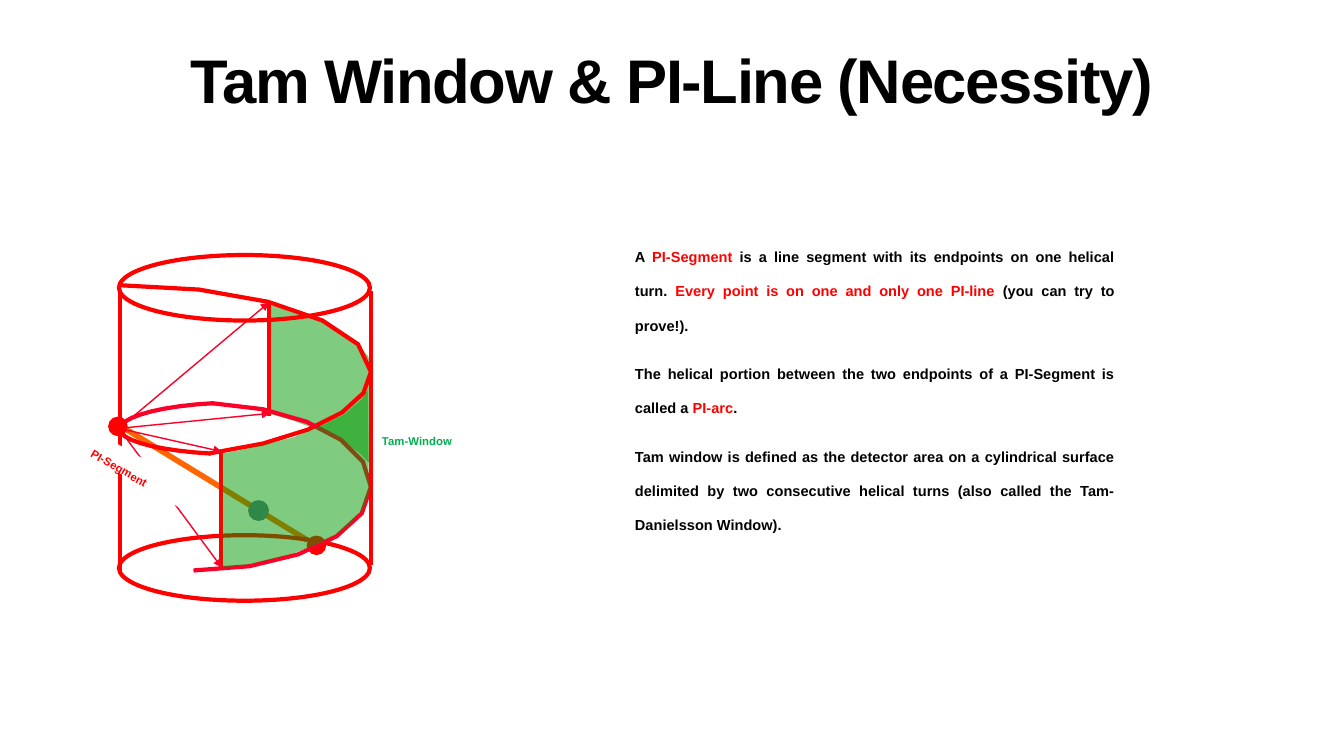
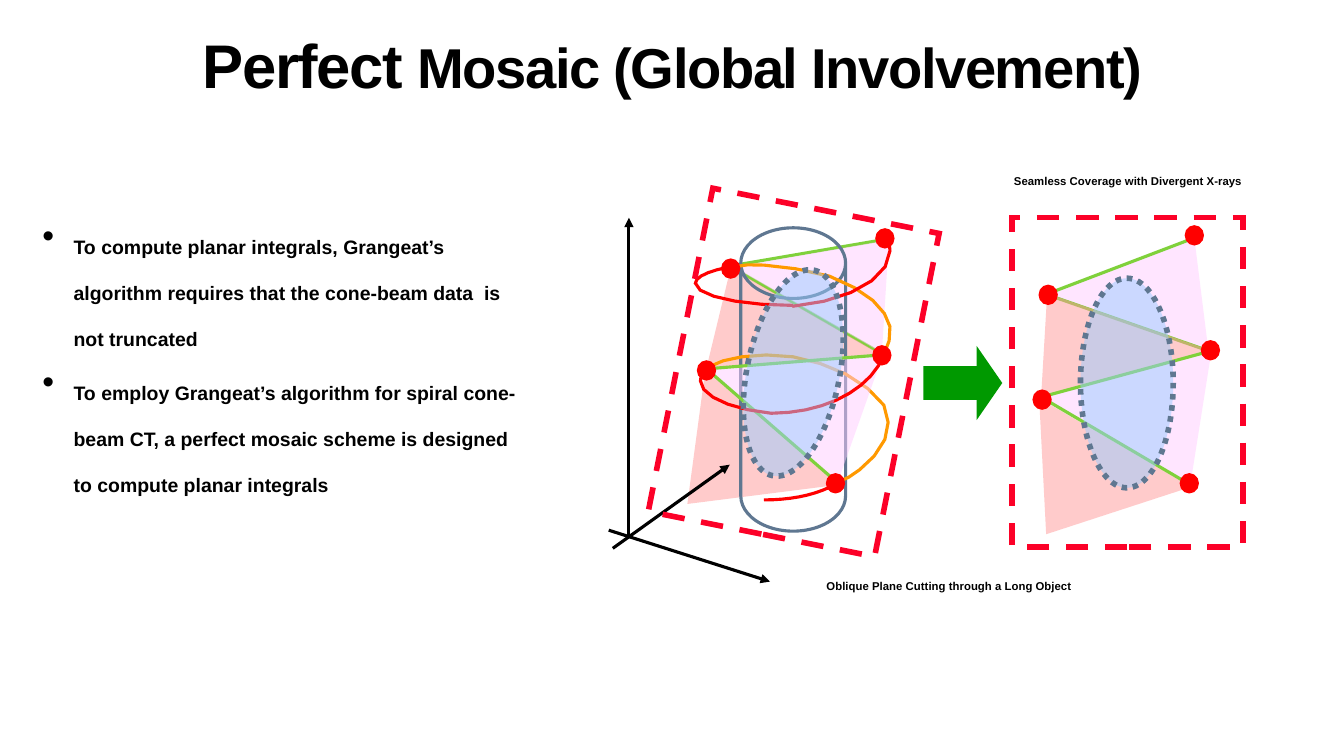
import pptx
import pptx.util
import pptx.dml.color
import pptx.enum.dml
import pptx.enum.shapes
import pptx.enum.text
import pptx.oxml.ns
import lxml.etree

IN = 2.54
RED, CRIMSON, ORANGE, AMBER = "FF0000", "FC0128", "FF6600", "FF9900"
GREEN, LIME, SLATE, BLACK = "009900", "7FD13B", "5F7791", "000000"
ROSE, PINK, SKY, WHITE = "FF9999", "FFCCFF", "99CCFF", "FFFFFF"
DASH = pptx.enum.dml.MSO_LINE.DASH
DOTS = pptx.enum.dml.MSO_LINE.ROUND_DOT
PRESETS = pptx.enum.shapes.MSO_SHAPE
ALIGN = pptx.enum.text.PP_ALIGN
Cm, Pt, qn = pptx.util.Cm, pptx.util.Pt, pptx.oxml.ns.qn


def paint(target, color, alpha=None):
    target.solid()
    target.fore_color.rgb = pptx.dml.color.RGBColor.from_string(color)
    if alpha:
        clr = target._xPr.find(qn("a:solidFill"))[0]
        lxml.etree.SubElement(clr, qn("a:alpha")).set("val", str(alpha * 1000))


def write(p, parts, size, align):
    p.alignment = align
    p.line_spacing = 1.0
    p.space_before = Pt(0)
    for text, color in parts:
        r = p.add_run()
        r.text = text
        r.font.name, r.font.size, r.font.bold = "Arial", Pt(size), True
        paint(r.font.fill, color)
        r.font._element.set("baseline", "-25000")


dot = dict(fill=RED, line=RED)
apex = (1.18, 4.25)

tam_window = [
    ("ellipse", (3.05, 5.32, 0.18, 0.18), dict(dot, width=1)),
    ("path", [(2.69, 3.03), (2.69, 4.11), (2.9, 4.17), (3.17, 4.27), (3.42, 4.39),
              (3.56, 4.49), (3.66, 4.59), (3.69, 4.64), (3.69, 3.65), (3.65, 3.53),
              (3.51, 3.38), (3.32, 3.25), (3.12, 3.16), (2.88, 3.08)],
     dict(fill=GREEN, alpha=50)),
    ("line", [(1.22, 4.24), (3.05, 5.36)], dict(line=ORANGE, width=4)),
    ("ellipse", (1.18, 5.31, 2.49, 0.65), dict(line=RED, width=3)),
    ("line", [(2.67, 3), (2.67, 4.13)], dict(line=RED, width=3)),
    ("curve", [(1.19, 2.83), (2.56, 2.83), (3.68, 3.21), (3.68, 3.69),
               (3.68, 4.05), (3.04, 4.37), (2.07, 4.5)], dict(line=RED, width=3)),
    ("curve", [(1.92, 5.66), (2.89, 5.66), (3.68, 5.29), (3.68, 4.83),
               (3.68, 4.4), (3, 4.04), (2.1, 4)], dict(line=CRIMSON, width=3)),
    ("curve", [(2.12, 4), (1.57, 4.03), (1.18, 4.14), (1.18, 4.27)],
     dict(line=CRIMSON, width=3)),
    ("line", [(1.19, 2.89), (1.19, 5.66)], dict(line=RED, width=3)),
    ("line", [(3.68, 2.89), (3.68, 5.61)], dict(line=RED, width=3)),
    ("curve", [(2.09, 4.5), (1.56, 4.47), (1.19, 4.37), (1.19, 4.26)],
     dict(line=RED, width=3)),
    ("line", [(2.19, 4.48), (2.19, 5.63)], dict(line=RED, width=3)),
    ("line", [(3.68, 3.71), (3.68, 4.84)], dict(line=RED, width=3)),
]
for tip in [(2.67, 3), (2.68, 4.1), (2.2, 4.48), (2.2, 5.63)]:
    tam_window.append(("line", [apex, tip], dict(line=CRIMSON, width=1, arrow=True)))
tam_window += [
    ("ellipse", (2.49, 4.99, 0.15, 0.15), dict(fill=SLATE, line=SLATE, width=4)),
    ("ellipse", (1.08, 4.14, 0.18, 0.18), dict(dot, width=1)),
    ("ellipse", (1.18, 2.53, 2.49, 0.65), dict(line=RED, width=3)),
    ("path", [(3.65, 3.87), (3.66, 4.89), (3.61, 5.03), (3.48, 5.19), (3.37, 5.28),
              (3.17, 5.39), (2.91, 5.49), (2.69, 5.55), (2.41, 5.61), (2.21, 5.63),
              (2.21, 4.5), (2.37, 4.47), (2.67, 4.4), (2.91, 4.34), (3.22, 4.21),
              (3.42, 4.11), (3.59, 3.96)], dict(fill=GREEN, alpha=50)),
    ("label", (0.88, 4.57, 1.08, 0.24),
     dict(fill=WHITE, text="PI-Segment", color=RED, rot=30)),
    ("label", (3.79, 4.18, 1.2, 0.24),
     dict(fill=WHITE, text="Tam-Window", color="00B050")),
]

pale_rose = dict(fill=ROSE, alpha=50)
pale_pink = dict(fill=PINK, alpha=50)
lime_edge = dict(line=LIME, width=2.25)
source = dict(dot, width=2.25)
frame = dict(line=CRIMSON, width=4, dash=DASH)
section = dict(fill=SKY, alpha=50, line=SLATE, width=4, dash=DOTS)
amber_arc = dict(line=AMBER, width=2.25)
red_arc = dict(line=RED, width=2.25)

mosaic = [
    ("path", [(8.81, 2.37), (7.24, 2.64), (8.77, 3.52)], lime_edge),
    ("path", [(7, 3.66), (8.32, 4.81), (6.82, 5)], pale_rose),
    ("path", [(8.75, 3.5), (7.28, 2.65), (8.82, 2.38)], pale_pink),
    ("path", [(7.25, 2.66), (8.75, 3.52), (7.01, 3.65)], pale_rose),
    ("can", (7.35, 2.26, 1.04, 3.01), dict(line=SLATE, width=2.25, adj=[0.674])),
    ("curve", [(7.27, 2.66), (7.27, 2.65), (7.27, 2.65), (7.33, 2.64),
               (7.38, 2.64), (7.43, 2.61), (7.58, 2.63),
               (7.73, 2.64), (8.05, 2.68), (8.23, 2.74),
               (8.41, 2.8), (8.56, 2.9), (8.66, 2.98),
               (8.76, 3.07), (8.81, 3.15), (8.83, 3.24),
               (8.85, 3.33), (8.81, 3.43), (8.77, 3.52)], amber_arc),
    ("curve", [(7.01, 3.65), (7.12, 3.6), (7.22, 3.55), (7.36, 3.54),
               (7.51, 3.52), (7.69, 3.51), (7.87, 3.54),
               (8.04, 3.57), (8.24, 3.63), (8.39, 3.71),
               (8.54, 3.79), (8.7, 3.91), (8.77, 4.02),
               (8.83, 4.13), (8.82, 4.25), (8.78, 4.36),
               (8.75, 4.47), (8.61, 4.59), (8.53, 4.66),
               (8.45, 4.73), (8.39, 4.75), (8.32, 4.78)], amber_arc),
]
for axis in [[(6.24, 5.32), (6.24, 2.16)], [(6.04, 5.26), (7.64, 5.77)],
             [(6.08, 5.44), (7.24, 4.61)]]:
    mosaic.append(("line", axis, dict(line=BLACK, width=2.25, arrow=True)))
mosaic += [
    ("path", [(8.31, 4.79), (7.01, 3.66), (8.76, 3.52)], dict(pale_pink, **lime_edge)),
    ("curve", [(8.81, 2.38), (8.82, 2.42), (8.83, 2.45), (8.83, 2.49),
               (8.83, 2.76), (8.42, 2.99), (7.86, 3.04)], red_arc),
    ("curve", [(7.87, 3.03), (7.32, 3.03), (6.9, 2.93), (6.9, 2.81),
               (6.9, 2.75), (7.02, 2.69), (7.23, 2.65)], red_arc),
    ("curve", [(7.65, 4.1), (7.23, 4.06), (6.95, 3.92), (6.95, 3.78),
               (6.95, 3.74), (6.98, 3.69), (7.02, 3.66)], red_arc),
    ("curve", [(8.77, 3.52), (8.64, 3.86), (8.19, 4.1), (7.65, 4.1)], red_arc),
]
for x, y in [(8.67, 3.44), (7.17, 2.58), (6.93, 3.59), (8.21, 4.71), (8.7, 2.28)]:
    mosaic.append(("ellipse", (x, y, 0.16, 0.17), source))
mosaic += [
    ("curve", [(8.3, 4.8), (8.1, 4.91), (7.86, 4.96), (7.58, 4.96)], red_arc),
    ("rect", (6.73, 2.06, 2.29, 3.27), dict(frame, rot=11.3)),
    ("ellipse", (7.41, 2.66, 0.92, 2.08), dict(section, rot=11.3)),
    ("arrow", (9.19, 3.52, 0.72, 0.56),
     dict(fill=GREEN, line=GREEN, width=4, adj=[0.5, 0.345])),
    ("path", [(10.31, 3.95), (11.82, 4.83), (10.38, 5.3)], pale_rose),
    ("path", [(11.99, 3.48), (10.38, 2.92), (11.85, 2.36)], dict(pale_pink, **lime_edge)),
    ("path", [(10.39, 2.91), (12.02, 3.48), (10.33, 3.93)], pale_rose),
    ("path", [(11.81, 4.81), (10.33, 3.94), (12.02, 3.48)], dict(pale_pink, **lime_edge)),
]
for x, y in [(11.93, 3.39), (10.32, 2.84), (10.26, 3.88), (11.77, 2.25), (11.72, 4.71)]:
    mosaic.append(("ellipse", (x, y, 0.16, 0.17), source))
mosaic += [
    ("rect", (10.04, 2.16, 2.29, 3.27), frame),
    ("ellipse", (10.72, 2.76, 0.92, 2.08), section),
    ("label", (8.2, 5.62, 4.19, 0.24),
     dict(fill=WHITE, text="Oblique Plane Cutting through a Long Object")),
    ("label", (10, 1.6, 2.38, 0.47),
     dict(fill=WHITE, text="Seamless Coverage with Divergent X-rays", align=ALIGN.CENTER)),
]

slides = [
    dict(title=[("Tam Window & PI-Line (Necessity)", 44)], title_at=(0, 0, 13.33, 1.56),
         body_at=(6.2, 2.24, 4.96, 3.72), size=18, after=10, indent=0,
         align=ALIGN.JUSTIFY, drawing=tam_window,
         body=[[("A ", BLACK), ("PI-Segment", RED),
                (" is a line segment with its endpoints on one helical turn. ", BLACK),
                ("Every point is on one and only one PI-line", RED),
                (" (you can try to prove!).", BLACK)],
               [("The helical portion between the two endpoints of a PI-Segment is called a ",
                 BLACK), ("PI-arc", RED), (".", BLACK)],
               [("Tam window is defined as the detector area on a cylindrical surface "
                 "delimited by two consecutive helical turns (also called the "
                 "Tam-Danielsson Window).", BLACK)]]),
    dict(title=[("Perfect", 44), (" Mosaic (Global Involvement)", 40.1)],
         title_at=(1.67, 0.17, 10, 0.92),
         body_at=(0.32, 2.06, 5.04, 3.82), size=24, after=6, indent=0.31,
         align=ALIGN.LEFT, drawing=mosaic,
         body=[[("To compute planar integrals, Grangeat’s algorithm requires that the "
                 "cone-beam data  is not truncated", BLACK)],
               [("To employ Grangeat’s algorithm for spiral cone-beam CT, a perfect mosaic "
                 "scheme is designed to compute planar integrals", BLACK)]]),
]
presets = dict(ellipse=PRESETS.OVAL, rect=PRESETS.RECTANGLE, label=PRESETS.RECTANGLE,
               can=PRESETS.CAN, arrow=PRESETS.RIGHT_ARROW)

prs = pptx.Presentation()
prs.slide_width, prs.slide_height = Cm(33.87), Cm(19.05)
for page in slides:
    s = prs.slides.add_slide(prs.slide_layouts[1])
    title, body = s.placeholders
    for sp, box in [(title, page["title_at"]), (body, page["body_at"])]:
        sp.left, sp.top, sp.width, sp.height = [Cm(v * IN) for v in box]
        sp.text_frame.word_wrap = True
        sp.text_frame.auto_size = pptx.enum.text.MSO_AUTO_SIZE.NONE

    title.text_frame.vertical_anchor = pptx.enum.text.MSO_ANCHOR.MIDDLE
    p = title.text_frame.paragraphs[0]
    p.alignment = ALIGN.CENTER
    for text, size in page["title"]:
        r = p.add_run()
        r.text = text
        r.font.name, r.font.size, r.font.bold = "Arial", Pt(size), True
        paint(r.font.fill, BLACK)
        r.font._element.set("spc", "-100")

    tf = body.text_frame
    for i, parts in enumerate(page["body"]):
        p = tf.add_paragraph() if i else tf.paragraphs[0]
        pPr = p._p.get_or_add_pPr()
        pPr.set("marL", str(Cm(page["indent"] * IN)))
        pPr.set("indent", str(-Cm(page["indent"] * IN)))
        if not page["indent"]:
            lxml.etree.SubElement(pPr, qn("a:buNone"))
        write(p, parts, page["size"], page["align"])
        p.space_after = Pt(page["after"])

    for kind, geo, look in page["drawing"]:
        if kind == "line":
            ends = [Cm(v * IN) for point in geo for v in point]
            sp = s.shapes.add_connector(pptx.enum.shapes.MSO_CONNECTOR.STRAIGHT, *ends)
        elif kind in presets:
            sp = s.shapes.add_shape(presets[kind], *[Cm(v * IN) for v in geo])
            sp.rotation = look.get("rot", 0)
            for i, value in enumerate(look.get("adj", [])):
                sp.adjustments[i] = value
        else:
            pts = geo
            if kind == "curve":
                pts = geo[:1]
                steps = max(2, 36 // len(geo))
                for i in range(0, len(geo) - 1, 3):
                    a, b, c, d = geo[i:i + 4]
                    for t in [k / steps for k in range(1, steps + 1)]:
                        u = 1 - t
                        pts = pts + [tuple(
                            u**3 * a[n] + 3 * u * u * t * b[n] + 3 * u * t * t * c[n]
                            + t**3 * d[n] for n in (0, 1))]
            pts = [(Cm(x * IN), Cm(y * IN)) for x, y in pts]
            fb = s.shapes.build_freeform(*pts[0])
            fb.add_line_segments(pts[1:], close="line" not in look)
            sp = fb.convert_to_shape()

        if "line" in look:
            paint(sp.line.fill, look["line"])
            sp.line.width = Pt(look["width"])
            if "dash" in look:
                sp.line.dash_style = look["dash"]
            ln = sp.element.spPr.find(qn("a:ln"))
            lxml.etree.SubElement(ln, qn("a:miter")).set("lim", "800000")
        else:
            sp.line.fill.background()
        if kind == "line":
            if look.get("arrow"):
                lxml.etree.SubElement(ln, qn("a:tailEnd")).set("type", "triangle")
            lxml.etree.SubElement(sp.element.spPr, qn("a:effectLst"))
            continue
        sp.shadow.inherit = False
        if "fill" in look:
            paint(sp.fill, look["fill"], look.get("alpha"))
        else:
            sp.fill.background()
        if kind == "label":
            tf = sp.text_frame
            tf.margin_left = tf.margin_right = tf.margin_top = tf.margin_bottom = 0
            tf.word_wrap = True
            tf.vertical_anchor = pptx.enum.text.MSO_ANCHOR.TOP
            write(tf.paragraphs[0], [(look["text"], look.get("color", BLACK))], 14,
                  look.get("align", ALIGN.LEFT))

prs.save("out.pptx")
